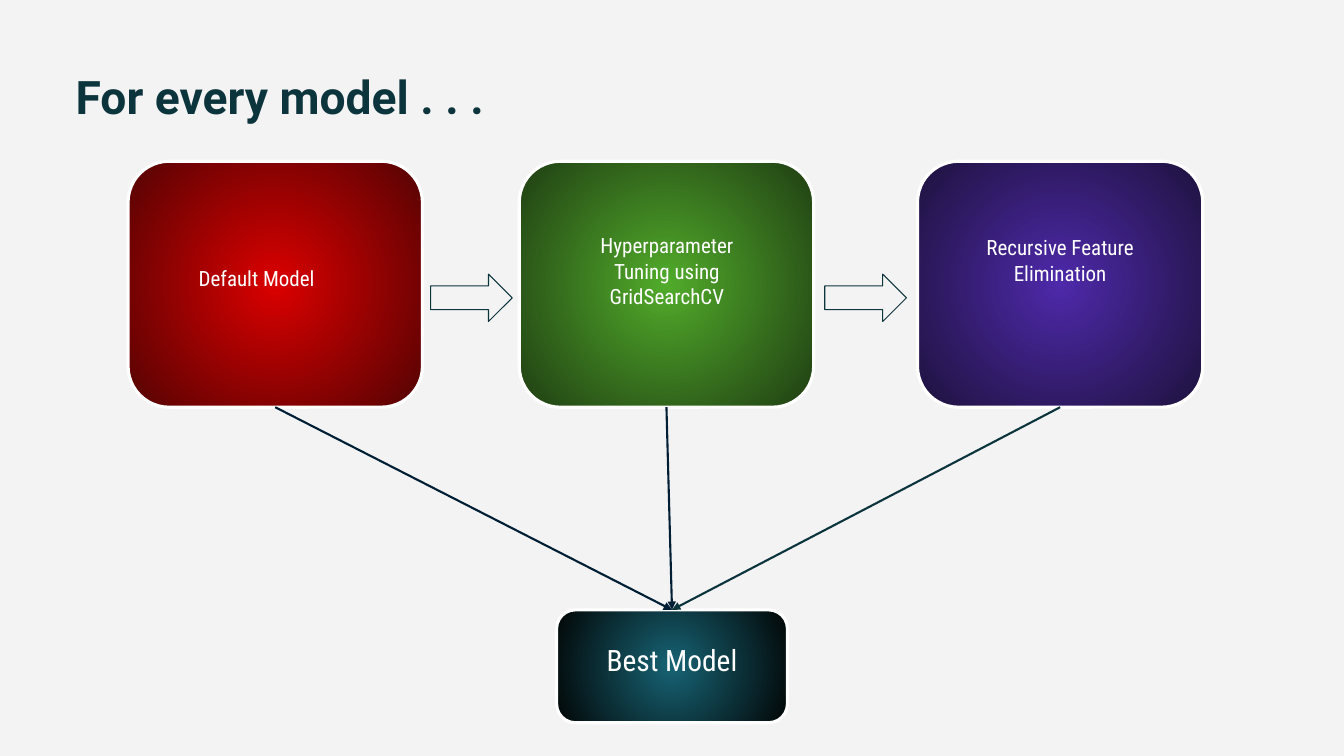
from pptx import Presentation
from pptx.dml.color import RGBColor
from pptx.enum.shapes import MSO_CONNECTOR, MSO_SHAPE
from pptx.enum.text import MSO_ANCHOR, MSO_AUTO_SIZE, PP_ALIGN
from pptx.oxml import parse_xml
from pptx.oxml.ns import nsdecls, qn
from pptx.util import Pt

PX = 9144
ROUND, ARROW = MSO_SHAPE.ROUNDED_RECTANGLE, MSO_SHAPE.RIGHT_ARROW
LINE = MSO_CONNECTOR.STRAIGHT
LEFT, CENTER = PP_ALIGN.LEFT, PP_ALIGN.CENTER
MIDDLE, TOP = MSO_ANCHOR.MIDDLE, MSO_ANCHOR.TOP
FIT, FIXED = MSO_AUTO_SIZE.SHAPE_TO_FIT_TEXT, MSO_AUTO_SIZE.NONE
PAPER = RGBColor(0xF3, 0xF3, 0xF3)
WHITE = RGBColor(0xFF, 0xFF, 0xFF)
TEAL = RGBColor(0x0C, 0x34, 0x3D)
NAVY = RGBColor(0x00, 0x1F, 0x35)
RED = RGBColor(0xDB, 0x00, 0x00), RGBColor(0x54, 0x03, 0x03)
GREEN = RGBColor(0x51, 0xAB, 0x2A), RGBColor(0x20, 0x3E, 0x13)
PURPLE = RGBColor(0x4E, 0x29, 0xAA), RGBColor(0x1E, 0x12, 0x3D)
CYAN = RGBColor(0x17, 0x63, 0x74), RGBColor(0x02, 0x06, 0x06)


class Board:
    """Draws styled elements on one slide, measured in px."""

    head, body = "Roboto", "Roboto Condensed"
    inset = 11

    def __init__(self, deck):
        self.slide = deck.slides.add_slide(deck.slide_layouts[5])
        self.shapes = self.slide.shapes
        fill = self.slide.background.fill
        fill.solid()
        fill.fore_color.rgb = PAPER

    def style(self, frame, text, face, size, color, align, bold=False):
        frame.word_wrap = True
        frame.margin_left = frame.margin_right = self.inset * PX
        frame.margin_top = frame.margin_bottom = self.inset * PX
        para = frame.paragraphs[0]
        para.text, para.alignment = text, align
        font = para.font
        font.name, font.size, font.bold = face, Pt(size), bold
        font.color.rgb = color

    def title(self, text, x, y, w, h):
        item = self.shapes.title
        item.left, item.top, item.width, item.height = x * PX, y * PX, w * PX, h * PX
        frame = item.text_frame
        self.style(frame, text, self.head, 33, TEAL, LEFT, True)
        frame.auto_size, frame.vertical_anchor = FIXED, MIDDLE

    def label(self, text, x, y, w, h, size=15, align=CENTER):
        frame = self.shapes.add_textbox(x * PX, y * PX, w * PX, h * PX).text_frame
        self.style(frame, text, self.body, size, WHITE, align)
        frame.auto_size, frame.vertical_anchor = FIT, TOP

    def shape(self, kind, x, y, w, h, color, width):
        item = self.shapes.add_shape(kind, x * PX, y * PX, w * PX, h * PX)
        item.shadow.inherit = False
        item.line.color.rgb, item.line.width = color, Pt(width)
        return item

    def card(self, x, y, w, h, colors):
        item = self.shape(ROUND, x, y, w, h, WHITE, 2.25)
        item.fill.gradient()
        for stop, color in zip(item.fill.gradient_stops, colors):
            stop.color.rgb = color
        grad = item._element.spPr.find(qn("a:gradFill"))
        glow = parse_xml(
            f'<a:path {nsdecls("a")} path="circle">'
            '<a:fillToRect l="50000" t="50000" r="50000" b="50000"/></a:path>')
        grad.replace(grad.find(qn("a:lin")), glow)
        return item

    def arrow(self, x, y, w, h):
        item = self.shape(ARROW, x, y, w, h, TEAL, 0.75)
        item.fill.solid()
        item.fill.fore_color.rgb = PAPER

    def link(self, start, end, color):
        item = self.shapes.add_connector(LINE, 0, 0, 0, 0)
        item.begin_connect(start, 2)
        item.end_connect(end, 0)
        item.line.color.rgb, item.line.width = color, Pt(1.5)
        props = item._element.spPr
        props.find(qn("a:ln")).append(
            parse_xml(f'<a:tailEnd {nsdecls("a")} type="triangle"/>'))
        props.append(parse_xml(f'<a:effectLst {nsdecls("a")}/>'))


def main():
    deck = Presentation()
    deck.slide_width, deck.slide_height = 1333 * PX, 750 * PX
    board = Board(deck)
    board.title("For every model . . .", 64, 53, 471, 84)

    steps = [
        (127, 292, RED, NAVY, "Default Model", (186, 252, 175, 48), LEFT),
        (515, 292, GREEN, NAVY, "Hyperparameter Tuning using GridSearchCV",
         (563, 220, 197, 98), CENTER),
        (910, 283, PURPLE, TEAL, "Recursive Feature Elimination",
         (953, 222, 197, 73), CENTER),
    ]
    cards = []
    for x, w, colors, ink, text, area, align in steps:
        cards.append((board.card(x, 160, w, 244, colors), ink))
        board.label(text, *area, align=align)
    for x in (427, 818):
        board.arrow(x, 272, 81, 47)

    best = board.card(552, 605, 229, 112, CYAN)
    board.label("Best Model", 568, 626, 197, 58, size=21)
    for card, ink in cards:
        board.link(card, best, ink)
    deck.save("out.pptx")


if __name__ == "__main__":
    main()
